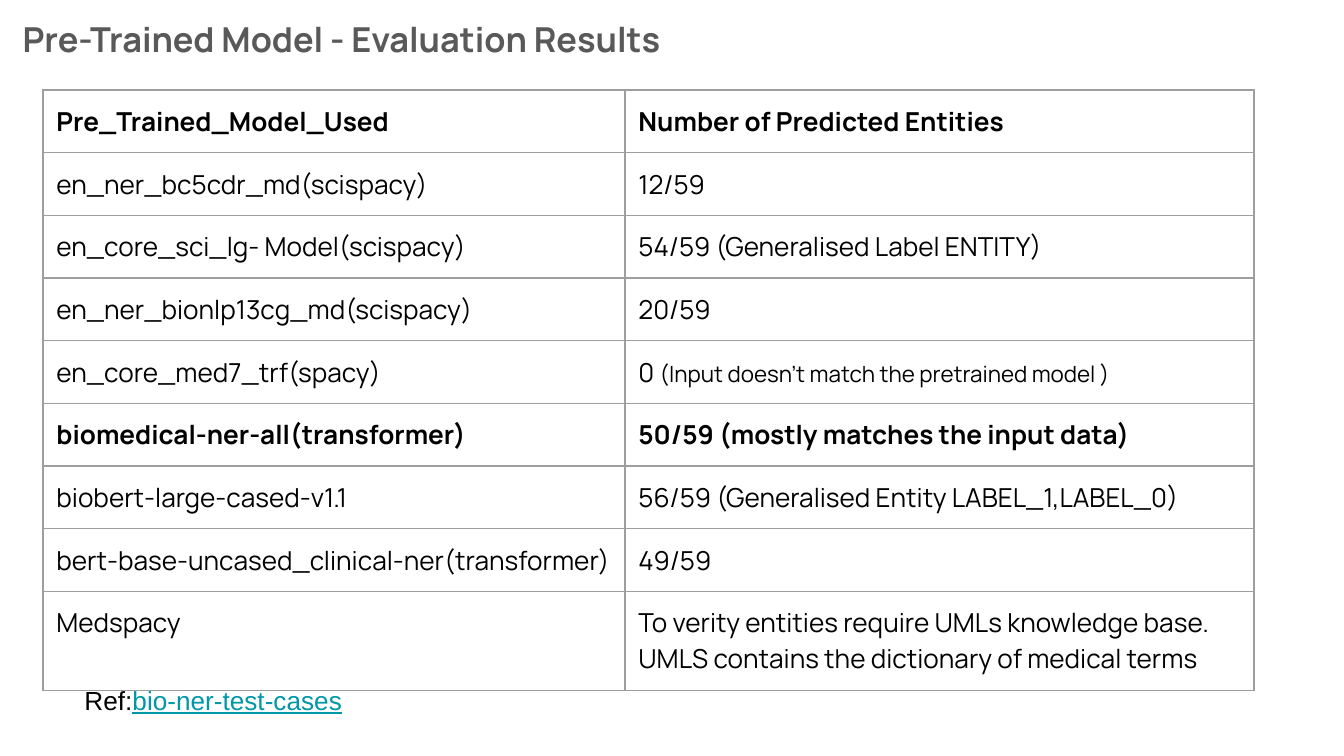
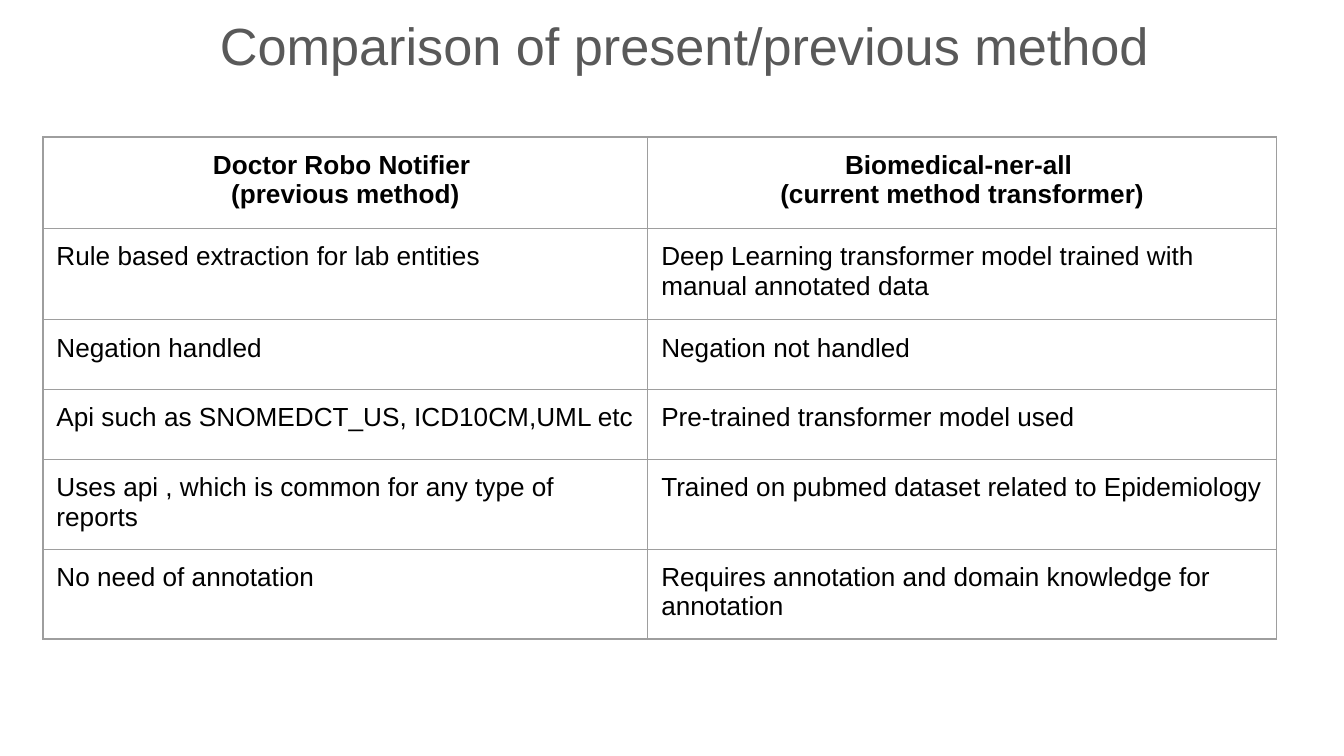
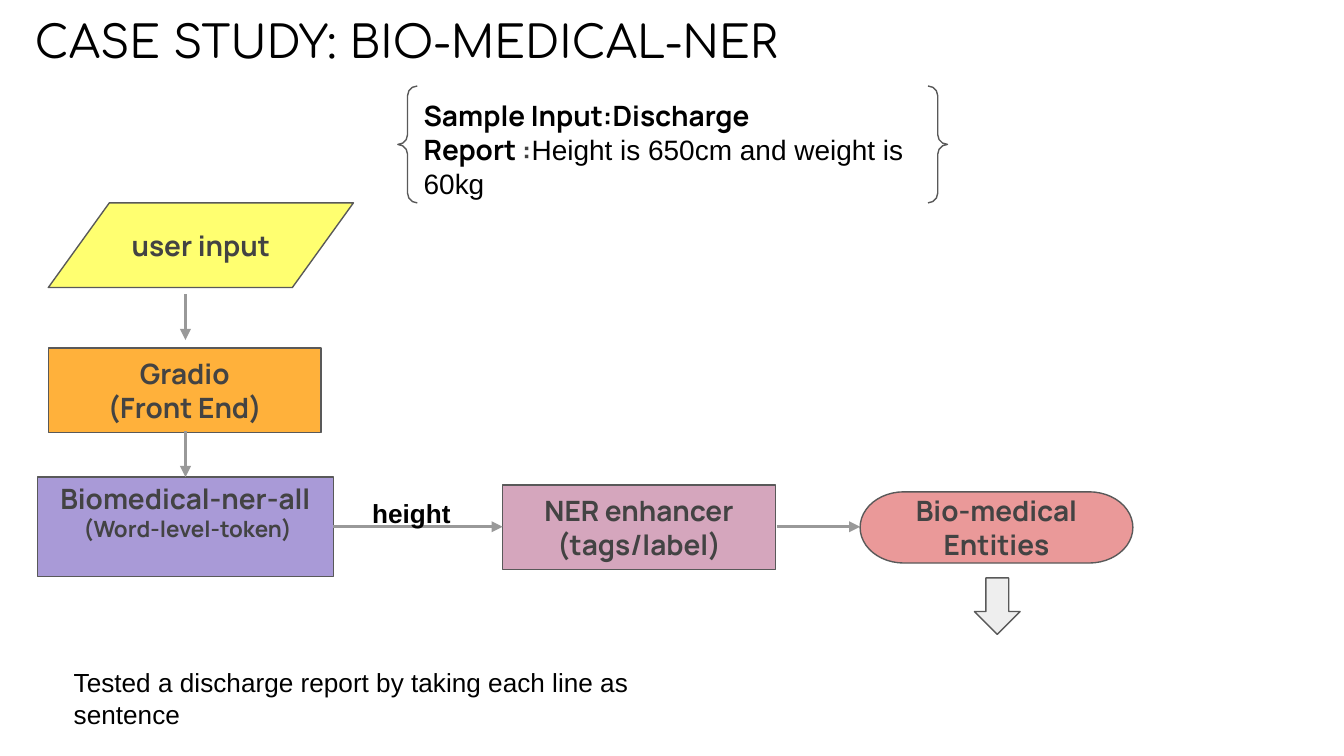
import typing

import lxml.etree
import pptx
import pptx.dml.color
import pptx.enum.shapes
import pptx.enum.text
import pptx.oxml.ns
import pptx.util

Inches = pptx.util.Inches
Pt = pptx.util.Pt
Form = pptx.enum.shapes.MSO_SHAPE
Align = pptx.enum.text.PP_ALIGN
Anchor = pptx.enum.text.MSO_ANCHOR
qn = pptx.oxml.ns.qn

HUES = {
    "black": "000000", "title": "595959", "label": "434343", "link": "0097A7",
    "grid": "9E9E9E", "arrow": "999999", "edge": "595959", "yellow": "FFFF70",
    "orange": "FFB13B", "purple": "A99AD7", "pink": "D5A6BD", "red": "EA9999",
    "grey": "EEEEEE",
}
SANS, BRAND, ROUND = "Arial", "Manrope", "Comfortaa"
PAD = 0.1


class Run(typing.NamedTuple):
    """A piece of text; None takes the format of the whole text."""
    text: str
    size: float | None = None
    hue: str | None = None
    font: str | None = None
    bold: bool | None = None
    under: bool | None = None


class Box(typing.NamedTuple):
    left: float
    top: float
    width: float
    height: float


class Step(typing.NamedTuple):
    form: Form
    box: Box
    fill: str | None
    lines: list
    align: Align = Align.CENTER
    anchor: Anchor = Anchor.MIDDLE
    inset: float = PAD
    turn: float = 0


class Link(typing.NamedTuple):
    x1: float
    y1: float
    x2: float
    y2: float


def tint(hue: str) -> pptx.dml.color.RGBColor:
    return pptx.dml.color.RGBColor.from_string(HUES[hue])


# Text: each line is a string or a list of runs
def write(frame, lines: list, *, size: float = 14, hue: str = "black",
          font: str = SANS, bold: bool = False, align: Align = Align.LEFT,
          space: float = 1) -> None:
    frame.word_wrap = True
    for i, line in enumerate(lines):
        para = frame.add_paragraph() if i else frame.paragraphs[0]
        para.alignment = align
        para.line_spacing = space
        for part in [Run(line)] if isinstance(line, str) else line:
            run = para.add_run()
            run.text = part.text
            run.font.size = Pt(part.size or size)
            run.font.name = part.font or font
            run.font.bold = bold if part.bold is None else part.bold
            run.font.underline = part.under
            run.font.color.rgb = tint(part.hue or hue)


def pad(item, top: float = PAD) -> None:
    item.margin_left = item.margin_right = item.margin_bottom = Inches(PAD)
    item.margin_top = Inches(top)


def note(slide, box: Box, lines: list, **style) -> None:
    frame = slide.shapes.add_textbox(*map(Inches, box)).text_frame
    pad(frame)
    write(frame, lines, **style)


# Tables
def rule(cell) -> None:
    props = cell._tc.get_or_add_tcPr()
    for side in ("a:lnL", "a:lnR", "a:lnT", "a:lnB"):
        line = lxml.etree.SubElement(props, qn(side), w=str(Pt(0.75)))
        fill = lxml.etree.SubElement(line, qn("a:solidFill"))
        lxml.etree.SubElement(fill, qn("a:srgbClr"), val=HUES["grid"])


def grid(slide, left: float, top: float, cols: list[float], tall: list[float],
         rows: list[tuple], *, font: str, strong: set[int],
         head: Align = Align.LEFT) -> None:
    size = map(Inches, (left, top, sum(cols), sum(tall)))
    table = slide.shapes.add_table(len(rows), len(cols), *size).table
    table.first_row = table.horz_banding = False
    for col, width in zip(table.columns, cols):
        col.width = Inches(width)
    for r, (row, height) in enumerate(zip(rows, tall)):
        table.rows[r].height = Inches(height)
        for c, lines in enumerate(row):
            cell = table.cell(r, c)
            rule(cell)
            cell.fill.background()
            pad(cell)
            write(cell.text_frame, lines if isinstance(lines, list) else [lines],
                  font=font, bold=r in strong, align=Align.LEFT if r else head)


# Flow chart
def draw(slide, step: Step) -> None:
    shape = slide.shapes.add_shape(step.form, *map(Inches, step.box))
    shape.shadow.inherit = False
    shape.rotation = step.turn
    if step.fill:
        shape.fill.solid()
        shape.fill.fore_color.rgb = tint(step.fill)
    else:
        shape.fill.background()
    shape.line.color.rgb = tint("edge")
    shape.line.width = Pt(0.75)
    if step.lines:
        pad(shape.text_frame, step.inset)
        shape.text_frame.vertical_anchor = step.anchor
        write(shape.text_frame, step.lines, size=15, hue="label", font=BRAND,
              bold=True, align=step.align)


def join(slide, link: Link) -> None:
    kind = pptx.enum.shapes.MSO_CONNECTOR.STRAIGHT
    line = slide.shapes.add_connector(kind, *map(Inches, link))
    line.line.color.rgb = tint("arrow")
    line.line.width = Pt(1.5)
    props = line.element.spPr
    lxml.etree.SubElement(props.find(qn("a:ln")), qn("a:tailEnd"), type="triangle")
    lxml.etree.SubElement(props, qn("a:effectLst"))


MODELS = [
    ("Pre_Trained_Model_Used", "Number of Predicted Entities"),
    ("en_ner_bc5cdr_md(scispacy)", "12/59"),
    ("en_core_sci_lg- Model(scispacy)", "54/59 (Generalised Label ENTITY)"),
    ("en_ner_bionlp13cg_md(scispacy)", "20/59"),
    ("en_core_med7_trf(spacy)",
     [[Run("0 "), Run("(Input doesn't match the pretrained model )", size=12)]]),
    ("biomedical-ner-all(transformer)", "50/59 (mostly matches the input data)"),
    ("biobert-large-cased-v1.1", "56/59 (Generalised Entity LABEL_1,LABEL_0)"),
    ("bert-base-uncased_clinical-ner(transformer)", "49/59"),
    ("Medspacy", "To verity entities require UMLs knowledge base. "
                 "UMLS contains the dictionary of medical terms"),
]

METHODS = [
    (["Doctor Robo Notifier ", "(previous method)"],
     ["Biomedical-ner-all ", "(current method transformer)"]),
    ("Rule based extraction for lab entities",
     "Deep Learning transformer model trained with manual annotated data"),
    ("Negation handled", "Negation not handled"),
    ("Api such as SNOMEDCT_US, ICD10CM,UML etc",
     "Pre-trained transformer model used"),
    ("Uses api , which is common for any type of reports",
     "Trained on pubmed dataset related to Epidemiology"),
    ("No need of annotation",
     "Requires annotation and domain knowledge for annotation"),
]

SAMPLE = [Run("Sample Input:Discharge Report ", hue="black"), Run(":"),
          Run("Height is 650cm and weight is 60kg", hue="black", font=SANS,
              bold=False)]

STEPS = [
    Step(Form.DOUBLE_BRACE, Box(2.96, 0.64, 4.09, 0.87), None, [SAMPLE],
         align=Align.LEFT),
    Step(Form.FLOWCHART_DATA, Box(0.36, 1.51, 2.27, 0.63), "yellow",
         ["user input"]),
    Step(Form.RECTANGLE, Box(0.36, 2.59, 2.03, 0.63), "orange",
         ["Gradio", "(Front End)"]),
    Step(Form.RECTANGLE, Box(0.28, 3.55, 2.2, 0.74), "purple",
         ["Biomedical-ner-all", [Run(" (Word-level-token)", size=12)]],
         anchor=Anchor.TOP, inset=0.03),
    Step(Form.RECTANGLE, Box(3.74, 3.61, 2.03, 0.63), "pink",
         ["NER enhancer", "(tags/label)"]),
    Step(Form.FLOWCHART_TERMINATOR, Box(6.4, 3.66, 2.03, 0.53), "red",
         ["Bio-medical Entities"]),
    Step(Form.RIGHT_ARROW, Box(7.21, 4.34, 0.42, 0.34), "grey", [], turn=90),
]

LINKS = [Link(1.38, 2.19, 1.38, 2.53), Link(1.38, 3.21, 1.38, 3.55),
         Link(2.48, 3.92, 3.74, 3.92), Link(5.78, 3.92, 6.4, 3.92)]


def main() -> None:
    deck = pptx.Presentation()
    deck.slide_width = Inches(10)
    deck.slide_height = Inches(10 * 9 / 16)
    models, methods, study = (
        deck.slides.add_slide(deck.slide_layouts[6]) for _ in range(3))

    # Model results
    note(models, Box(0.07, 0.07, 5, 0.44),
         ["Pre-Trained Model - Evaluation Results"],
         size=18.4, hue="title", font=BRAND, bold=True, space=0.9)
    grid(models, 0.32, 0.67, [4.33, 4.68], [3.73 / 8] * 8 + [0.74], MODELS,
         font=BRAND, strong={0, 5})
    note(models, Box(0.53, 4.99, 7.78, 0.44),
         [[Run("Ref:"), Run("bio-ner-test-cases", hue="link", under=True)]])

    # Method comparison
    note(methods, Box(0.43, 0, 9.32, 0.87),
         ["Comparison of present/previous method"],
         size=28, hue="title", align=Align.CENTER)
    grid(methods, 0.32, 1.02, [4.5, 4.68],
         [0.68] * 2 + [0.52] * 2 + [0.64] * 2, METHODS,
         font=SANS, strong={0}, head=Align.CENTER)

    # Case study
    note(study, Box(0.16, 0.08, 9.32, 0.87), ["CASE STUDY: BIO-MEDICAL-NER"],
         size=23.8, font=ROUND, space=0.8)
    for step in STEPS:
        draw(study, step)
    for link in LINKS:
        join(study, link)
    note(study, Box(2.67, 3.6, 0.88, 0.44), ["height"], bold=True)
    note(study, Box(0.45, 4.86, 4.55, 0.67),
         ["Tested a discharge report by taking each line as sentence"])

    deck.save("out.pptx")


if __name__ == "__main__":
    main()
